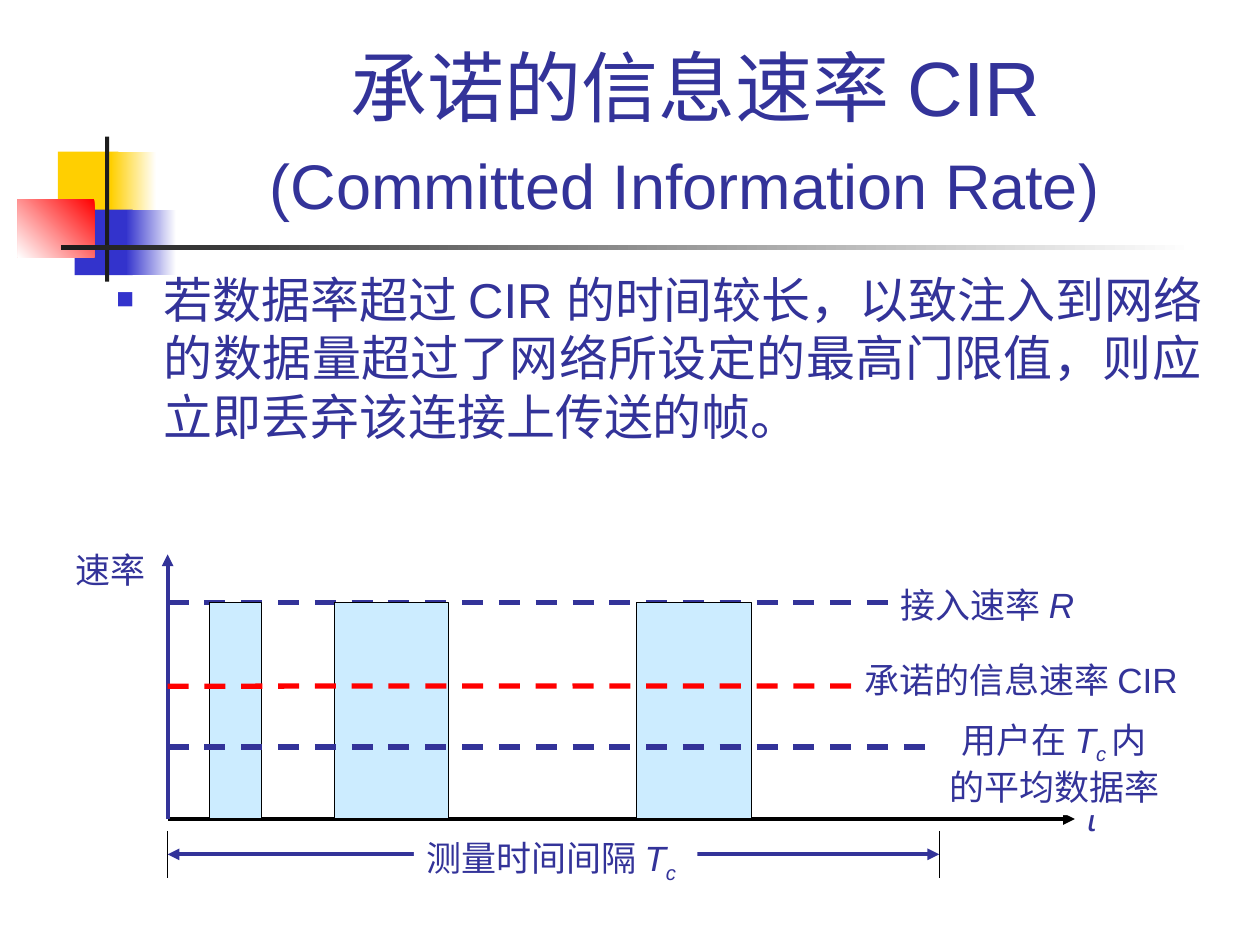
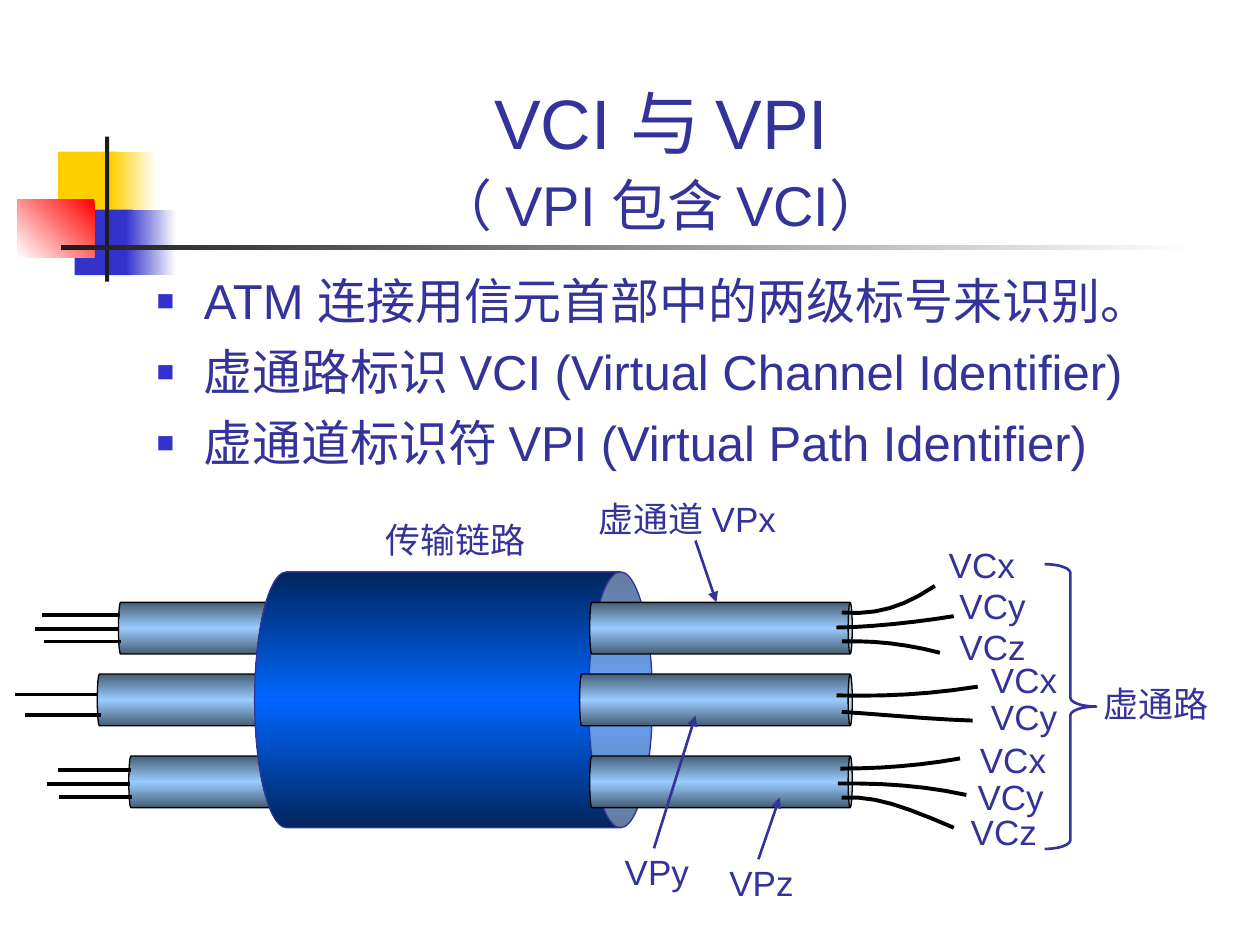
from copy import deepcopy
from dataclasses import dataclass
from typing import Any, NamedTuple, Optional

from lxml import etree
from pptx import Presentation
from pptx.dml.color import RGBColor
from pptx.enum.dml import MSO_LINE
from pptx.enum.shapes import MSO_CONNECTOR, MSO_SHAPE
from pptx.enum.text import MSO_ANCHOR, MSO_AUTO_SIZE, PP_ALIGN
from pptx.oxml.ns import qn
from pptx.util import Pt

RECTANGLE, CAN, BRACE = MSO_SHAPE.RECTANGLE, MSO_SHAPE.CAN, MSO_SHAPE.RIGHT_BRACE
STRAIGHT, DASH = MSO_CONNECTOR.STRAIGHT, MSO_LINE.DASH
LEFT, CENTER, JUSTIFY = PP_ALIGN.LEFT, PP_ALIGN.CENTER, PP_ALIGN.JUSTIFY
TOP, BOTTOM = MSO_ANCHOR.TOP, MSO_ANCHOR.BOTTOM
FIT_TEXT, FIXED = MSO_AUTO_SIZE.SHAPE_TO_FIT_TEXT, MSO_AUTO_SIZE.NONE


@dataclass(frozen=True)
class Theme:
    font: str = "Arial"
    text: str = "333399"
    bullet: str = "3333CC"
    yellow: str = "FFCF01"
    red: str = "FF0000"
    dark: str = "1C1C1C"
    black: str = "000000"
    white: str = "FFFFFF"
    bar: str = "CCECFF"
    pipe: tuple[str, ...] = ("465E75", "99CCFF", "465E75")
    link: tuple[str, ...] = ("00255C", "0066FF", "00255C")
    body_size: float = 28
    label_size: float = 20
    thin: float = 0.75
    pointer: float = 1.5
    medium: float = 2.25
    thick: float = 3


THEME = Theme()


class Box(NamedTuple):
    left: float
    top: float
    width: float
    height: float


class Span(NamedTuple):
    """A piece of text with one format."""
    text: str
    size: float = THEME.label_size
    italic: bool = False
    subscript: bool = False


class Panel(NamedTuple):
    box: Box
    colors: tuple[str, ...]
    angle: float = 180


class Line(NamedTuple):
    x1: float
    y1: float
    x2: float
    y2: float
    color: str = THEME.black
    width: float = THEME.medium
    dashed: bool = False
    heads: tuple[str, ...] = ()


class Label(NamedTuple):
    box: Box
    lines: list[list[Span]]
    fill: Optional[str] = None
    align: Any = LEFT


class Wire(NamedTuple):
    """The four control points of a cubic curve."""
    start: tuple[float, float]
    pull_start: tuple[float, float]
    pull_end: tuple[float, float]
    end: tuple[float, float]


DECORATION = [
    Panel(Box(33.1, 86.6, 34.6, 37.4), (THEME.yellow,)),
    Panel(Box(63.4, 86.6, 25.9, 37.4), (THEME.white, THEME.yellow)),
    Panel(Box(42.7, 119.8, 33.1, 37.4), (THEME.bullet,)),
    Panel(Box(72, 119.8, 28.8, 37.4), (THEME.white, THEME.bullet)),
    Panel(Box(10, 113.8, 43.9, 33.1), (THEME.red, THEME.white), 225),
    Panel(Box(60, 78.1, 2.4, 82.8), (THEME.dark,)),
    Panel(Box(34.6, 140.2, 648, 2.4), (THEME.white, THEME.dark)),
]


def set_format(target: Any, **values: Any) -> None:
    for name, value in values.items():
        setattr(target, name, value)


def add_element(parent: Any, tag: str, **attributes: str) -> Any:
    return etree.SubElement(parent, qn(tag), attributes)


def paint(fill: Any, shape: Any, colors: tuple[str, ...], angle: float) -> None:
    """Fill a shape with one colour, or with an even gradient of several."""
    if len(colors) == 1:
        fill.solid()
        fill.fore_color.rgb = RGBColor.from_string(colors[0])
        return
    fill.gradient()
    fill.gradient_angle = angle
    stop_list = shape.element.find(".//" + qn("a:gsLst"))
    for _ in range(len(colors) - 2):
        stop_list.append(deepcopy(stop_list[0]))
    for index, (stop, color) in enumerate(zip(fill.gradient_stops, colors)):
        stop.position = index / (len(colors) - 1)
        stop.color.rgb = RGBColor.from_string(color)


def outline(line: Any, color: str, width: float) -> None:
    line.color.rgb = RGBColor.from_string(color)
    line.width = Pt(width)


def add_preset(slide: Any, kind: Any, box: Box, colors: tuple[str, ...] = (),
               border: Optional[str] = None, width: float = THEME.thin,
               angle: float = 180) -> Any:
    shape = slide.shapes.add_shape(kind, *map(Pt, box))
    shape.shadow.inherit = False
    if colors:
        paint(shape.fill, shape, colors, angle)
    else:
        shape.fill.background()
    if border:
        outline(shape.line, border, width)
    else:
        shape.line.fill.background()
    return shape


def add_line(slide: Any, line: Line) -> None:
    connector = slide.shapes.add_connector(
        STRAIGHT, Pt(line.x1), Pt(line.y1), Pt(line.x2), Pt(line.y2))
    outline(connector.line, line.color, line.width)
    if line.dashed:
        connector.line.dash_style = DASH
    properties = connector.element.spPr
    for head in line.heads:
        add_element(properties.find(qn("a:ln")), head, type="triangle")
    add_element(properties, "a:effectLst")


def add_spans(paragraph: Any, spans: list[Span]) -> None:
    for span in spans:
        run = paragraph.add_run()
        run.text = span.text
        set_format(run.font, name=THEME.font, size=Pt(span.size), italic=span.italic)
        run.font.color.rgb = RGBColor.from_string(THEME.text)
        if span.subscript:
            run._r.get_or_add_rPr().set("baseline", "-25000")


def add_text(slide: Any, box: Box, **frame_format: Any) -> Any:
    shape = slide.shapes.add_textbox(*map(Pt, box))
    set_format(shape.text_frame, **frame_format)
    return shape


def add_label(slide: Any, label: Label) -> None:
    shape = add_text(slide, label.box, word_wrap=False, auto_size=FIT_TEXT)
    if label.fill:
        paint(shape.fill, shape, (label.fill,), 0)
    frame = shape.text_frame
    for index, spans in enumerate(label.lines):
        paragraph = frame.add_paragraph() if index else frame.paragraphs[0]
        paragraph.alignment = label.align
        add_spans(paragraph, spans)


def add_title(slide: Any, box: Box, first: list[Span], second: list[Span],
              line_spacing: float = 1.0) -> None:
    frame = add_text(slide, box, word_wrap=True, auto_size=FIXED,
                     vertical_anchor=BOTTOM).text_frame
    paragraph = frame.paragraphs[0]
    set_format(paragraph, alignment=CENTER, line_spacing=line_spacing)
    add_spans(paragraph, first)
    paragraph.add_line_break()
    add_spans(paragraph, second)


def add_bullets(slide: Any, box: Box, texts: list[str]) -> None:
    frame = add_text(slide, box, word_wrap=True, auto_size=FIXED,
                     vertical_anchor=TOP).text_frame
    for index, text in enumerate(texts):
        paragraph = frame.add_paragraph() if index else frame.paragraphs[0]
        properties = paragraph._p.get_or_add_pPr()
        properties.set("marL", str(Pt(27)))
        properties.set("indent", str(-Pt(27)))
        add_element(add_element(properties, "a:buClr"), "a:srgbClr", val=THEME.bullet)
        add_element(properties, "a:buSzPct", val="60000")
        add_element(properties, "a:buFont", typeface=THEME.font)
        add_element(properties, "a:buChar", char="■")
        set_format(paragraph, alignment=JUSTIFY, space_before=Pt(7 if index else 0))
        add_spans(paragraph, [Span(text, THEME.body_size)])


def add_pipe(slide: Any, box: Box, colors: tuple[str, ...], border: str,
             depth: float) -> None:
    """Draw a can lying on its side, its lid to the right, that fills the box."""
    left, top, length, height = box
    upright = Box(left + (length - height) / 2, top + (height - length) / 2,
                  height, length)
    can = add_preset(slide, CAN, upright, colors, border, angle=0)
    can.rotation = 90
    can.adjustments[0] = depth


def add_wire(slide: Any, wire: Wire, steps: int = 6) -> None:
    points = []
    for step in range(steps + 1):
        t = step / steps
        weights = ((1 - t) ** 3, 3 * t * (1 - t) ** 2, 3 * t * t * (1 - t), t ** 3)
        points.append(tuple(
            Pt(sum(weight * point[axis] for weight, point in zip(weights, wire)))
            for axis in (0, 1)))
    builder = slide.shapes.build_freeform(*points[0])
    builder.add_line_segments(points[1:], close=False)
    curve = builder.convert_to_shape()
    curve.shadow.inherit = False
    curve.fill.background()
    outline(curve.line, THEME.black, THEME.medium)


def add_base_slide(presentation: Any) -> Any:
    slide = presentation.slides.add_slide(presentation.slide_layouts[6])
    for panel in DECORATION:
        add_preset(slide, RECTANGLE, panel.box, panel.colors, angle=panel.angle)
    return slide


def build_rate_slide(presentation: Any) -> None:
    slide = add_base_slide(presentation)
    add_title(slide, Box(90.7, 16.6, 613.4, 115.2), [Span("承诺的信息速率 CIR", 44)],
              [Span("(Committed Information Rate)", 36), Span(" ", 44)])
    add_bullets(slide, Box(59.4, 150.2, 634.6, 324), [
        "若数据率超过 CIR 的时间较长，以致注入到网络的数据量超过了网络所设定的最高门限值，"
        "则应立即丢弃该连接上传送的帧。"])

    origin, baseline, bar_top, interval_end = 95.8, 468, 344.3, 536.7
    white, blue = THEME.white, THEME.text
    symbol_t = Span("T", italic=True)
    end_arrow, both_arrows = ("a:tailEnd",), ("a:headEnd", "a:tailEnd")
    add_label(slide, Label(Box(36, 310, 56, 31.7), [[Span("速率")]], white))
    add_line(slide, Line(origin, baseline, 614.2, baseline, heads=end_arrow))
    add_label(slide, Label(Box(507.6, 329.8, 120, 31.7),
                           [[Span("接入速率 "), Span("R", italic=True)]], white))
    add_line(slide, Line(origin, bar_top, 508.3, bar_top, blue, THEME.thick, True))
    add_line(slide, Line(origin, baseline, origin, 316.8, blue, heads=end_arrow))
    for left, width in ((119.6, 29.8), (191, 65.5), (363.6, 65.8)):
        add_preset(slide, RECTANGLE, Box(left, bar_top, width, baseline - bar_top),
                   (THEME.bar,), THEME.black)
    add_line(slide, Line(origin, 488.2, interval_end, 488.2, blue, heads=both_arrows))
    add_label(slide, Label(
        Box(236.5, 474.5, 162, 34.6),
        [[Span("测量时间间隔 "), symbol_t, Span("c", italic=True, subscript=True)]], white))
    for x in (origin, interval_end):
        add_line(slide, Line(x, 474.8, x, 502, width=THEME.thin))
    add_label(slide, Label(Box(614.2, 451.4, 19.4, 31.7),
                           [[Span("t", italic=True)]], white))
    add_line(slide, Line(origin, 392.1, 493.9, 392, THEME.red, THEME.thick, True))
    add_label(slide, Label(Box(486.7, 373, 200, 31.7),
                           [[Span("承诺的信息速率 CIR")]], white))
    add_line(slide, Line(origin, 426.8, 537.1, 426.8, blue, THEME.thick, True))
    add_label(slide, Label(
        Box(534.5, 406.8, 136, 59),
        [[Span("用户在 "), symbol_t, Span("c ", italic=True, subscript=True), Span("内")],
         [Span("的平均数据率")]], white, CENTER))


def build_channel_slide(presentation: Any) -> None:
    slide = add_base_slide(presentation)
    add_title(slide, Box(54.2, 20.5, 647.3, 118.8), [Span("VCI 与 VPI", 40)],
              [Span("（ VPI 包含 VCI）", 32)], 1.1)
    add_bullets(slide, Box(82.5, 151.2, 612, 164.2), [
        "ATM 连接用信元首部中的两级标号来识别。",
        "虚通路标识 VCI (Virtual Channel Identifier)",
        "虚通道标识符 VPI (Virtual Path Identifier)"])

    pipe_height, row_x, row_y, row_z = 29.5, 344.2, 385.2, 432
    for left, top in ((73.6, row_z), (55.6, row_y), (67.7, row_x)):
        add_pipe(slide, Box(left, top, 167.8, pipe_height), THEME.pipe, THEME.black, 0.08)
    add_pipe(slide, Box(145.5, 326.8, 227.3, 146.2), THEME.link, THEME.text, 0.25)
    for left, top in ((331.2, row_y), (337, row_z), (337, row_x)):
        add_pipe(slide, Box(left, top, 487 - left, pipe_height),
                 THEME.pipe, THEME.black, 0.08)

    for start, end, y in ((23.8, 68.4, 351.2), (20.2, 67.7, 359.3), (25.2, 69.1, 366.6),
                          (8.6, 56.2, 396.9), (14.4, 57.6, 408.8),
                          (33.1, 74.9, 439.9), (26.6, 74.2, 447.8), (33.8, 75.6, 455.6)):
        add_line(slide, Line(start, y, end, y))
    for wire in (
            Wire((481, 350), (501, 351.5), (516, 347), (534.2, 334.8)),
            Wire((478, 358.6), (495, 358.6), (525, 355.5), (545, 352.1)),
            Wire((481, 366.5), (500, 366), (518, 368), (537.1, 373)),
            Wire((478, 397.4), (505, 398), (530, 397), (558.7, 392.4)),
            Wire((481, 406.8), (506, 408.5), (531, 411), (555.8, 411.8)),
            Wire((480.2, 439.2), (503, 439.2), (526, 437.5), (548.6, 433.4)),
            Wire((478.8, 447.8), (504, 447.4), (528, 449), (552.2, 454.3)),
            Wire((481, 455.8), (500, 454.5), (517, 461), (545, 473))):
        add_wire(slide, wire)

    for text, left, top, width in (
            ("传输链路", 213.1, 292.6, 96), ("虚通道 VPx", 335, 281, 122),
            ("VPz", 409.7, 489, 53), ("VPy", 349.9, 482.6, 53),
            ("VCx", 535, 307, 54), ("VCy", 541.2, 330.5, 54),
            ("VCz", 541.2, 354, 54), ("VCx", 559.2, 372.5, 54),
            ("VCy", 559.2, 393.8, 54), ("VCx", 552.8, 418.3, 54),
            ("VCy", 551.5, 439.7, 54), ("VCz", 547.6, 459.4, 54),
            ("虚通路", 623.5, 386.2, 76)):
        add_label(slide, Label(Box(left, top, width, 31.7), [[Span(text)]]))
    for ends in ((397.4, 308.9, 409.4, 344.2), (433.4, 491, 445.5, 455.8),
                 (373.7, 484.8, 397.4, 409)):
        add_line(slide, Line(*ends, THEME.text, THEME.pointer, heads=("a:tailEnd",)))
    brace = add_preset(slide, BRACE, Box(596.9, 322.4, 29.5, 162.7),
                       border=THEME.text, width=THEME.pointer)
    brace.adjustments[0] = 0.17
    brace.adjustments[1] = 0.5


def main() -> None:
    presentation = Presentation()
    set_format(presentation, slide_width=Pt(720), slide_height=Pt(540))
    build_rate_slide(presentation)
    build_channel_slide(presentation)
    presentation.save("out.pptx")


if __name__ == "__main__":
    main()
